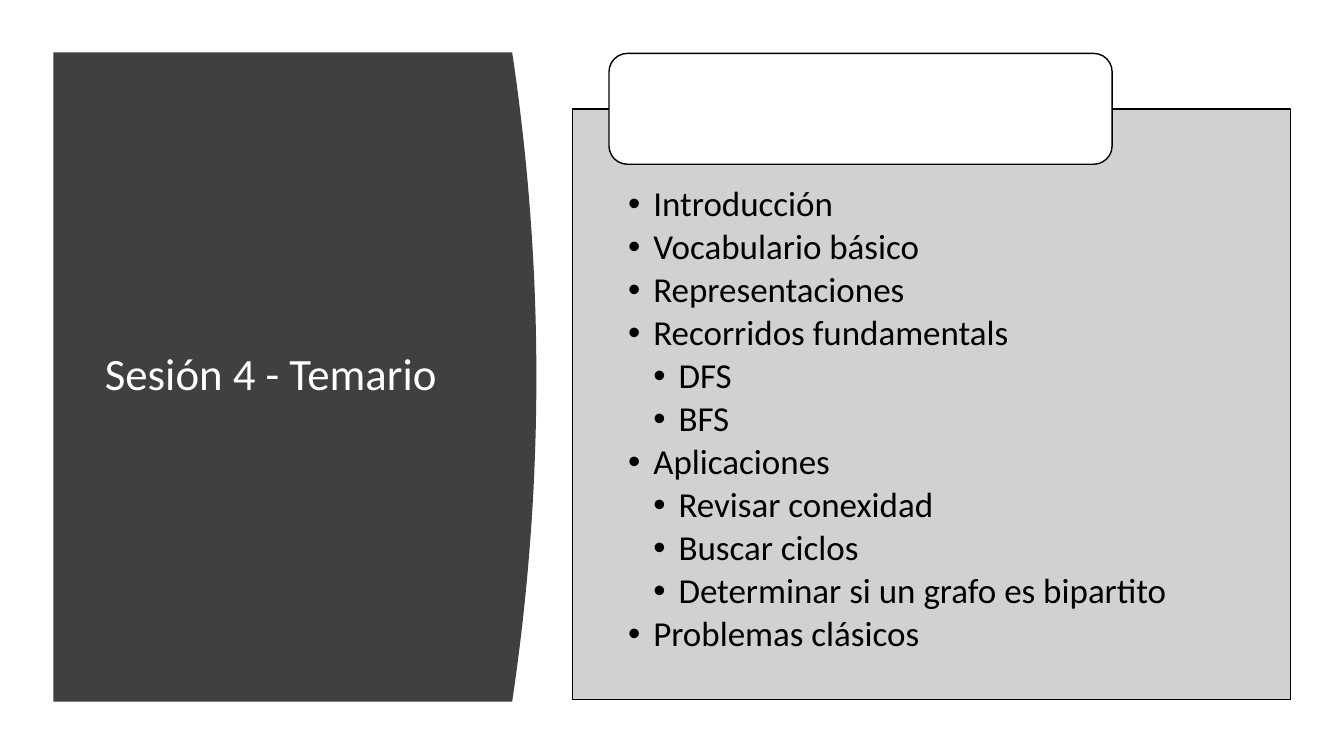
from dataclasses import dataclass

from lxml.etree import SubElement
from pptx import Presentation
from pptx.dml.color import RGBColor
from pptx.enum.shapes import MSO_SHAPE
from pptx.enum.text import MSO_ANCHOR, MSO_AUTO_SIZE, PP_ALIGN
from pptx.oxml.ns import qn
from pptx.util import Inches, Pt


@dataclass(frozen=True)
class Theme:
    font: str = "Calibri"
    dark: RGBColor = RGBColor.from_string("404040")
    gray: RGBColor = RGBColor.from_string("CCCCCC")
    white: RGBColor = RGBColor.from_string("FFFFFF")
    black: RGBColor = RGBColor.from_string("000000")
    head: Pt = Pt(32)
    body: Pt = Pt(25)
    line: Pt = Pt(1)


THEME = Theme()

TOPICS = [
    (1, "Introducción"),
    (1, "Vocabulario básico"),
    (1, "Representaciones"),
    (1, "Recorridos fundamentals"),
    (2, "DFS"),
    (2, "BFS"),
    (1, "Aplicaciones"),
    (2, "Revisar conexidad"),
    (2, "Buscar ciclos"),
    (2, "Determinar si un grafo es bipartito"),
    (1, "Problemas clásicos"),
]


def style(para, size, color):
    para.alignment = PP_ALIGN.LEFT
    para.line_spacing = 0.9
    for run in para.runs:
        run.font.name = THEME.font
        run.font.size = size
        run.font.color.rgb = color


def add_title(slide, text, box):
    title = slide.shapes.title
    title.left, title.top, title.width, title.height = map(Inches, box)
    frame = title.text_frame
    frame.text = text
    frame.word_wrap = True
    frame.auto_size = MSO_AUTO_SIZE.NONE
    frame.vertical_anchor = MSO_ANCHOR.MIDDLE
    style(frame.paragraphs[0], THEME.head, THEME.white)


def add_wedge(slide, left, top, right, base, bulge, steps=40):
    mid, half = (top + base) / 2, (base - top) / 2
    points = [(left, top)]
    for step in range(steps + 1):
        part = 2 * step / steps - 1
        points.append((right + bulge * (1 - part ** 2), mid + half * part))
    points.append((left, base))
    points = [(Inches(x), Inches(y)) for x, y in points]
    builder = slide.shapes.build_freeform(*points[0])
    builder.add_line_segments(points[1:], close=True)
    wedge = builder.convert_to_shape()
    wedge.shadow.inherit = False
    wedge.fill.solid()
    wedge.fill.fore_color.rgb = THEME.dark
    wedge.line.fill.background()
    slide.shapes.title.element.addprevious(wedge.element)


def add_box(slide, kind, box, color):
    shape = slide.shapes.add_shape(kind, *map(Inches, box))
    shape.shadow.inherit = False
    shape.fill.solid()
    shape.fill.fore_color.rgb = color
    shape.line.color.rgb = THEME.black
    shape.line.width = THEME.line
    return shape


def set_alpha(shape, share):
    color = shape.element.spPr.find(qn("a:solidFill"))[0]
    SubElement(color, qn("a:alpha"), val=str(share * 1000))


def add_bullet(para, level):
    para.level = level
    style(para, THEME.body, THEME.black)
    props = para.runs[0].font._element.getparent().getparent().find(qn("a:pPr"))
    props.set("marL", str(Inches(0.25 * level)))
    props.set("indent", str(Inches(-0.25)))
    after = SubElement(props, qn("a:spcAft"))
    SubElement(after, qn("a:spcPct"), val="15000")
    SubElement(props, qn("a:buFont"), typeface="Arial")
    SubElement(props, qn("a:buChar"), char="•")


def add_list(shape, topics):
    frame = shape.text_frame
    frame.word_wrap = True
    frame.vertical_anchor = MSO_ANCHOR.TOP
    frame.margin_left = frame.margin_right = Inches(0.55)
    frame.margin_top, frame.margin_bottom = Inches(0.77), Inches(0.19)
    frame.text = "\n".join(text for level, text in topics)
    for para, (level, text) in zip(frame.paragraphs, topics):
        add_bullet(para, level)


def main():
    deck = Presentation()
    deck.slide_width, deck.slide_height = Inches(13.33), Inches(7.5)
    slide = deck.slides.add_slide(deck.slide_layouts[5])
    add_title(slide, "Sesión 4 - Temario", (0.94, 1.11, 3.74, 5.24))
    add_wedge(slide, left=0.53, top=0.52, right=5.08, base=6.96, bulge=0.24)
    panel = add_box(slide, MSO_SHAPE.RECTANGLE, (5.68, 1.08, 7.12, 5.86), THEME.gray)
    set_alpha(panel, 90)
    add_list(panel, TOPICS)
    add_box(slide, MSO_SHAPE.ROUNDED_RECTANGLE, (6.04, 0.53, 4.99, 1.1), THEME.white)
    deck.save("out.pptx")


if __name__ == "__main__":
    main()
